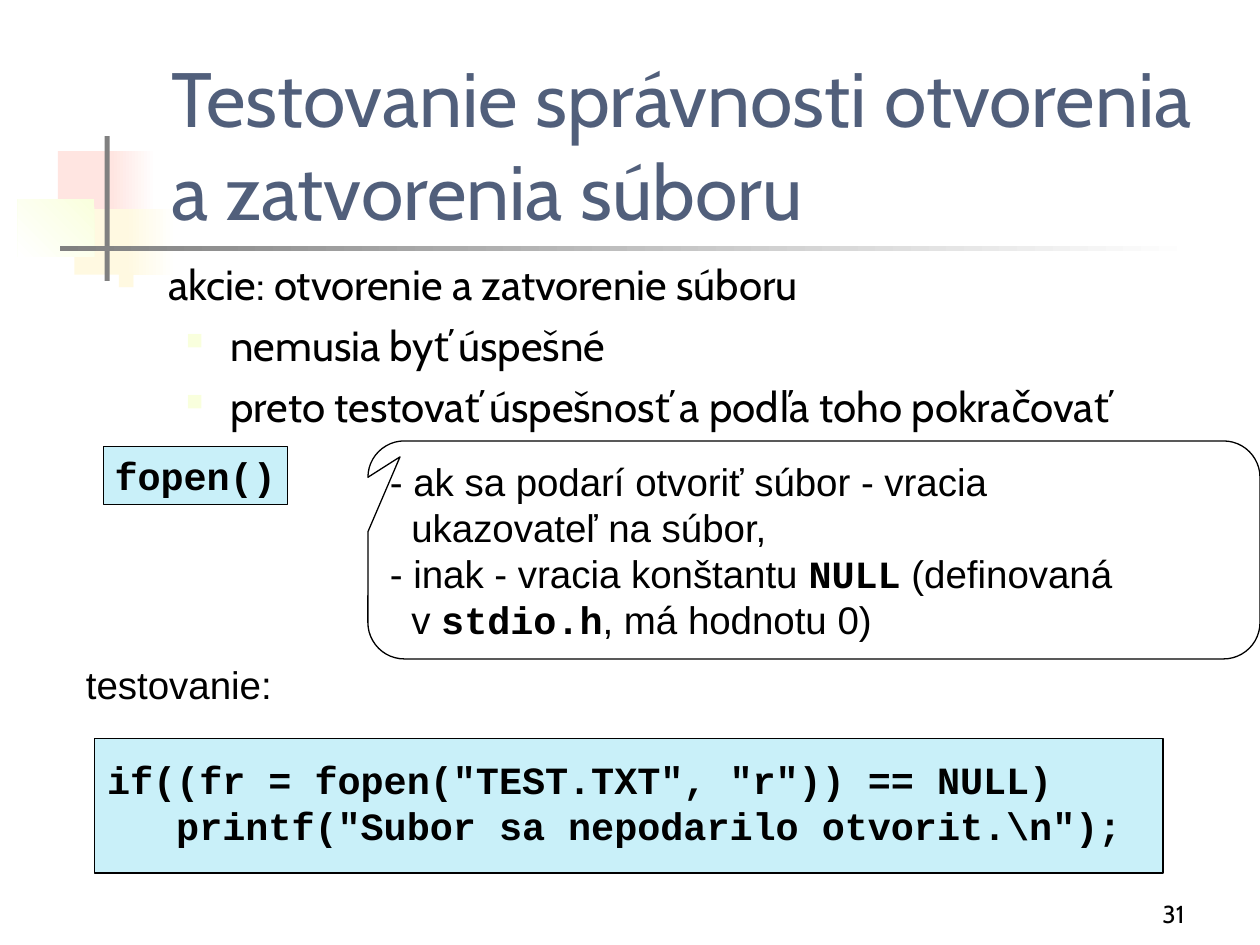
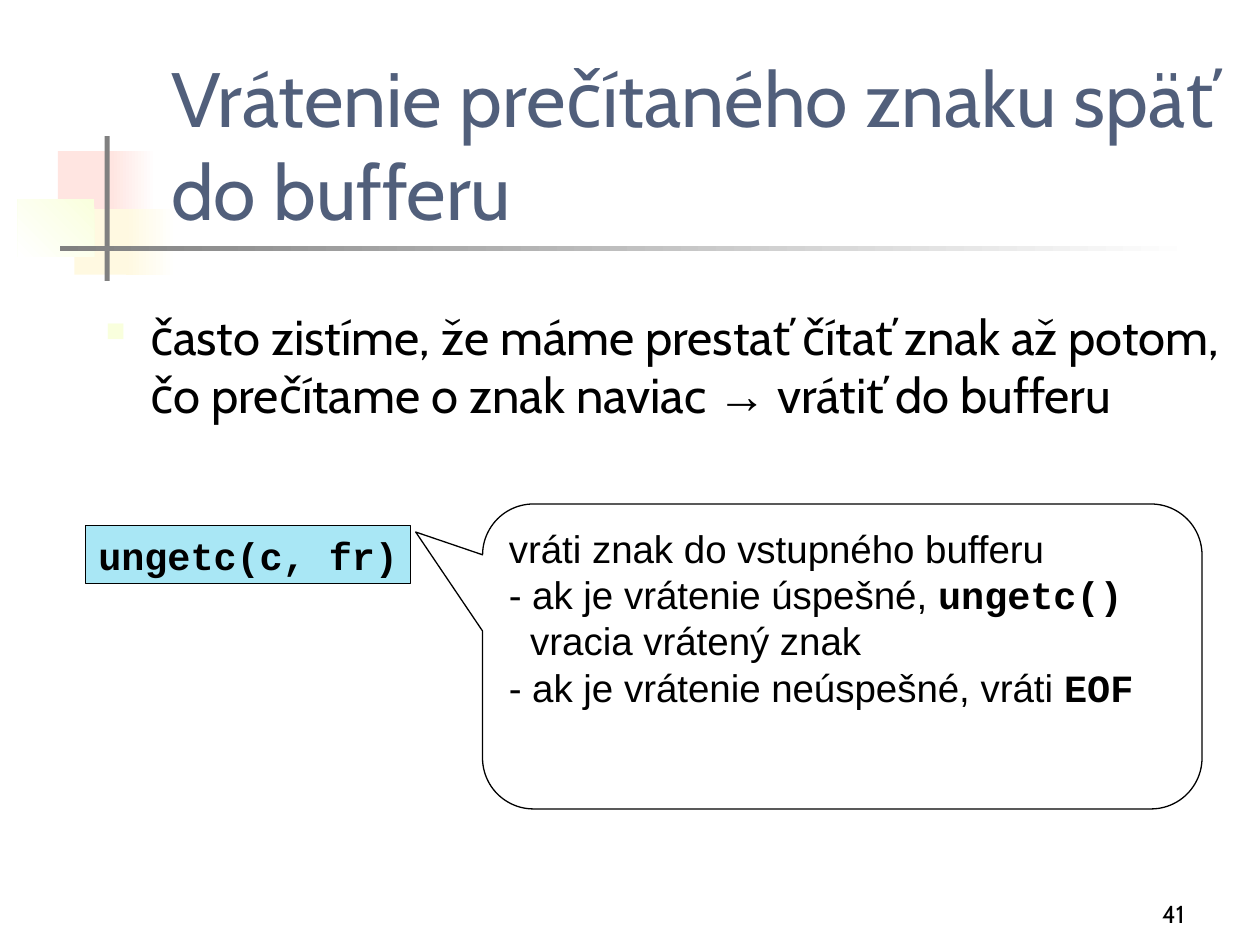
from lxml.etree import SubElement
from pptx import Presentation
from pptx.dml.color import RGBColor
from pptx.enum.shapes import MSO_SHAPE
from pptx.enum.text import MSO_ANCHOR, PP_ALIGN
from pptx.oxml.ns import qn
from pptx.util import Inches, Pt

WHITE, BLACK, GREY = "FFFFFF", "000000", "808080"
ROSE, CREAM, LIME = "FFE5E1", "FFF9E1", "F9FFDD"
SLATE, SKY, AQUA = "515F7B", "C9F0F9", "A9E7F5"
HEAD, SANS, MONO = "Cabin", "Arial", "Courier New"
HANG = 0.17


def paint(color, value):
    color.rgb = RGBColor.from_string(value)


def place(area):
    return [Inches(n) for n in area]


def bullet(para, color, size):
    props = para._p.get_or_add_pPr()
    tint = SubElement(props, qn("a:buClr"))
    SubElement(tint, qn("a:srgbClr"), val=color)
    SubElement(props, qn("a:buSzPct"), val=str(size * 1000))
    SubElement(props, qn("a:buChar"), char="■")


def indent(para, left, first=0):
    props = para._p.get_or_add_pPr()
    props.set("marL", str(Inches(left)))
    props.set("indent", str(Inches(first)))


def write(para, text, size=22, font=SANS, color=BLACK, bold=False,
          align=PP_ALIGN.LEFT, left=0, first=0, before=0, mark=None, alt=MONO):
    para.alignment = align
    indent(para, left, first)
    para.space_before = Pt(before)
    if mark:
        bullet(para, *mark)
    for spot, part in enumerate(text.split("`")):
        if part:
            run = para.add_run()
            run.text = part
            face = run.font
            face.size = Pt(size)
            face.name = alt if spot % 2 else font
            face.bold = bold or (spot % 2 == 1 and alt == MONO)
            paint(face.color, color)


def fill_text(shape, lines, wrap=True, anchor=MSO_ANCHOR.TOP, side=0.09, **form):
    frame = shape.text_frame
    frame.word_wrap = wrap
    frame.vertical_anchor = anchor
    frame.margin_left = frame.margin_right = Inches(side)
    frame.margin_top = frame.margin_bottom = Inches(0.05)
    for spot, line in enumerate(lines):
        text, extra = (line, {}) if isinstance(line, str) else line
        para = frame.add_paragraph() if spot else frame.paragraphs[0]
        write(para, text, **{**form, **extra})


def label(slide, area, *lines, **form):
    fill_text(slide.shapes.add_textbox(*place(area)), lines, **form)


def block(slide, area, color=None, fade=None, angle=180, line=0,
          kind=MSO_SHAPE.RECTANGLE):
    shape = slide.shapes.add_shape(kind, *place(area))
    shape.shadow.inherit = False
    if fade:
        shape.fill.gradient()
        shape.fill.gradient_angle = angle
        for stop, tone in zip(shape.fill.gradient_stops, fade):
            paint(stop.color, tone)
    elif color:
        shape.fill.solid()
        paint(shape.fill.fore_color, color)
    else:
        shape.fill.background()
    if line:
        shape.line.width = Pt(line)
        paint(shape.line.color, BLACK)
    else:
        shape.line.fill.background()
    return shape


def code_tag(slide, area, color, text):
    fill_text(block(slide, area, color, line=0.25), [text], wrap=False,
              font=MONO, bold=True, align=PP_ALIGN.CENTER)


def callout(slide, area, tip, *lines):
    shape = block(slide, area, line=0.75,
                  kind=MSO_SHAPE.ROUNDED_RECTANGULAR_CALLOUT)
    for spot, value in enumerate((*tip, 0.167)):
        shape.adjustments[spot] = value
    fill_text(shape, lines)


def motif(slide):
    block(slide, (0.46, 1.2, 0.48, 0.52), ROSE)
    block(slide, (0.88, 1.2, 0.36, 0.52), fade=(WHITE, ROSE))
    block(slide, (0.59, 1.66, 0.46, 0.52), CREAM)
    block(slide, (1, 1.66, 0.4, 0.52), fade=(WHITE, CREAM))
    block(slide, (0.14, 1.58, 0.61, 0.46), fade=(LIME, WHITE), angle=225)
    block(slide, (0.83, 1.08, 0.04, 1.15), GREY)
    block(slide, (0.48, 1.95, 9, 0.04), fade=(WHITE, GREY))


def start(deck, title, number):
    slide = deck.slides.add_slide(deck.slide_layouts[6])
    motif(slide)
    label(slide, (1.26, 0.67, 8.52, 1.25), title, size=44, font=HEAD,
          color=SLATE, anchor=MSO_ANCHOR.BOTTOM, side=0.1)
    label(slide, (7.42, 6.92, 2.08, 0.5), number, size=14, font=HEAD,
          align=PP_ALIGN.RIGHT, anchor=MSO_ANCHOR.BOTTOM, side=0.1)
    return slide


def open_test(deck):
    slide = start(deck, "Testovanie správnosti otvorenia a zatvorenia súboru", "31")
    sub = dict(left=0.9, first=-0.35, before=6, mark=(LIME, 55))
    label(slide, (0.83, 2, 8.96, 1.75),
          ("akcie: otvorenie a zatvorenie súboru",
           dict(left=0.41, first=-0.41, mark=(CREAM, 60))),
          ("nemusia byť úspešné", sub),
          ("preto testovať úspešnosť a podľa toho pokračovať", sub),
          size=24, font=HEAD, side=0.1)
    code_tag(slide, (0.82, 3.54, 1.46, 0.46), SKY, "fopen()")
    callout(slide, (2.92, 3.5, 7.08, 1.73), (-0.464, -0.427),
            "- ak sa podarí otvoriť súbor - vracia",
            ("ukazovateľ na súbor,", dict(left=HANG)),
            "- inak - vracia konštantu `NULL` (definovaná",
            ("v `stdio.h`, má hodnotu 0)", dict(left=HANG)))
    label(slide, (0.59, 5.2, 1.66, 0.46), "testovanie:", wrap=False,
          align=PP_ALIGN.CENTER)
    block(slide, (0.75, 5.86, 8.48, 1.07), SKY, line=0.75)
    label(slide, (0.76, 5.95, 8.45, 0.82),
          'if((fr = fopen("TEST.TXT", "r")) == NULL)',
          '   printf("Subor sa nepodarilo otvorit.\\n");',
          font=MONO, bold=True)


def put_back(deck):
    slide = start(deck, "Vrátenie prečítaného znaku späť do bufferu", "41")
    label(slide, (0.19, 2.38, 9.61, 4.78),
          "často zistíme, že máme prestať čítať znak až potom, "
          "čo prečítame o znak naviac `→` vrátiť do bufferu",
          size=28, font=HEAD, alt=SANS, side=0.1,
          left=0.9, first=-0.35, mark=(LIME, 55))
    code_tag(slide, (0.68, 4.17, 2.58, 0.46), AQUA, "ungetc(c, fr)")
    callout(slide, (3.83, 4, 5.71, 2.42), (-0.593, -0.408),
            "vráti znak do vstupného bufferu",
            "- ak je vrátenie úspešné, `ungetc()`",
            ("vracia vrátený znak", dict(left=HANG)),
            "- ak je vrátenie neúspešné, vráti `EOF`")


def main():
    deck = Presentation()
    deck.slide_width, deck.slide_height = Inches(10), Inches(7.5)
    open_test(deck)
    put_back(deck)
    deck.save("out.pptx")


if __name__ == "__main__":
    main()
